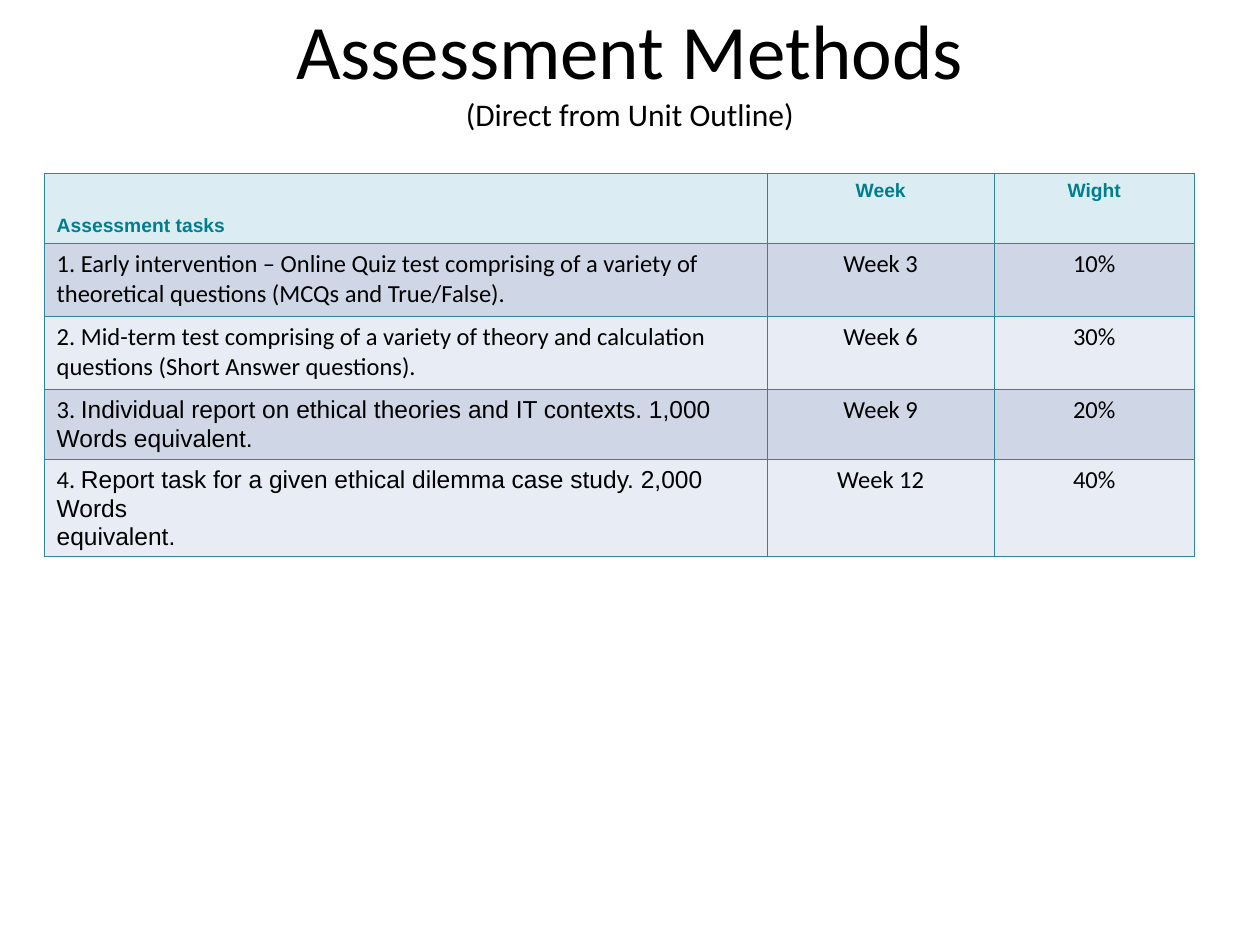
from lxml.etree import SubElement
from pptx import Presentation
from pptx.dml.color import RGBColor
from pptx.enum.text import MSO_ANCHOR, MSO_AUTO_SIZE, PP_ALIGN
from pptx.oxml.ns import qn
from pptx.util import Inches, Pt

COLOURS = {"ink": "000000", "teal": "007E8D", "border": "30849B",
           "header": "DBEDF3", "odd": "CFD7E7", "even": "E8ECF4"}
HEADER = {"name": "Arial", "size": Pt(11), "bold": True}
BODY = {"name": "Calibri", "size": Pt(14), "bold": False}
REPORT = BODY | {"name": "Arial"}
COLUMNS = [5.74, 1.8, 1.59]
ROWS = [0.55, 0.58, 0.58, 0.55, 0.77]
HEADINGS = ["Assessment tasks", "Week", "Wight"]
TASKS = [
    ("1. ", ["Early intervention – Online Quiz test comprising of a variety of "
             "theoretical questions (MCQs and True/False)."], BODY, "Week 3", "10%"),
    ("2. ", ["Mid-term test comprising of a variety of theory and calculation "
             "questions (Short Answer questions)."], BODY, "Week 6", "30%"),
    ("3. ", ["Individual report on ethical theories and IT contexts. "
             "1,000 Words equivalent."], REPORT, "Week 9", "20%"),
    ("4. ", ["Report task for a given ethical dilemma case study. 2,000 Words",
             "equivalent."], REPORT, "Week 12", "40%"),
]


def set_values(target, values):
    """Set each named attribute of the target."""
    for name, value in values.items():
        setattr(target, name, value)


def add_span(para, text, font, colour="ink"):
    """Add formatted text to a paragraph."""
    span = para.add_run()
    span.text = text
    set_values(span.font, font)
    span.font.color.rgb = RGBColor.from_string(COLOURS[colour])


def add_title(page, box):
    """Place the title and its smaller second line in the box."""
    title = page.shapes.title
    set_values(title, dict(zip(("left", "top", "width", "height"), map(Inches, box))))
    set_values(title.text_frame, {
        "word_wrap": True, "auto_size": MSO_AUTO_SIZE.NONE,
        "vertical_anchor": MSO_ANCHOR.MIDDLE, "margin_left": Inches(0.1),
        "margin_right": Inches(0.1), "margin_top": Inches(0.04),
        "margin_bottom": Inches(0.8)})
    para = title.text_frame.paragraphs[0]
    para.alignment = PP_ALIGN.CENTER
    add_span(para, "Assessment Methods", {"name": "Calibri", "size": Pt(44)})
    para.add_line_break()
    add_span(para, "(Direct from Unit Outline)", {"name": "Calibri", "size": Pt(18)})


def style_cell(cell, fill, margin):
    """Give a cell its borders, fill and margins."""
    properties = cell._tc.get_or_add_tcPr()
    for side in ("lnL", "lnR", "lnT", "lnB"):
        line = SubElement(properties, qn(f"a:{side}"), w=str(Pt(0.75)))
        solid = SubElement(line, qn("a:solidFill"))
        SubElement(solid, qn("a:srgbClr"), val=COLOURS["border"])
    cell.fill.solid()
    cell.fill.fore_color.rgb = RGBColor.from_string(COLOURS[fill])
    set_values(cell, {"margin_left": Inches(margin), "margin_right": Inches(margin),
                      "margin_top": Inches(0.05), "margin_bottom": Inches(0.05)})


def fill_cell(cell, lines, font, colour="ink", number="", centred=False):
    """Write lines as paragraphs, the first after an optional number."""
    for index, line in enumerate(lines):
        frame = cell.text_frame
        para = frame.add_paragraph() if index else frame.paragraphs[0]
        para.alignment = PP_ALIGN.CENTER if centred else PP_ALIGN.LEFT
        if number and not index:
            add_span(para, number, BODY)
        add_span(para, line, font, colour)


def add_assessment_table(page, left, top):
    """Place the table of assessment tasks with its corner at left, top."""
    table = page.shapes.add_table(
        len(ROWS), len(COLUMNS), Inches(left), Inches(top),
        Inches(sum(COLUMNS)), Inches(sum(ROWS))).table
    for column, width in zip(table.columns, COLUMNS):
        column.width = Inches(width)
    for row, height in zip(table.rows, ROWS):
        row.height = Inches(height)
    for index, heading in enumerate(HEADINGS):
        cell = table.cell(0, index)
        style_cell(cell, "header", 0.1)
        fill_cell(cell, [heading], HEADER, "teal", centred=index > 0)
    table.cell(0, 0).vertical_anchor = MSO_ANCHOR.BOTTOM
    for row, (number, lines, font, *details) in enumerate(TASKS, start=1):
        fill = "odd" if row % 2 else "even"
        style_cell(table.cell(row, 0), fill, 0.1)
        fill_cell(table.cell(row, 0), lines, font, number=number)
        for column, detail in enumerate(details, start=1):
            style_cell(table.cell(row, column), fill, 0.05)
            fill_cell(table.cell(row, column), [detail], BODY, centred=True)


def main():
    """Build and save the slide."""
    deck = Presentation()
    set_values(deck, {"slide_width": Inches(10), "slide_height": Inches(7.5)})
    page = deck.slides.add_slide(deck.slide_layouts[5])
    add_title(page, (0.5, 0.34, 9, 1.16))
    add_assessment_table(page, 0.35, 1.38)
    deck.save("out.pptx")


if __name__ == "__main__":
    main()
